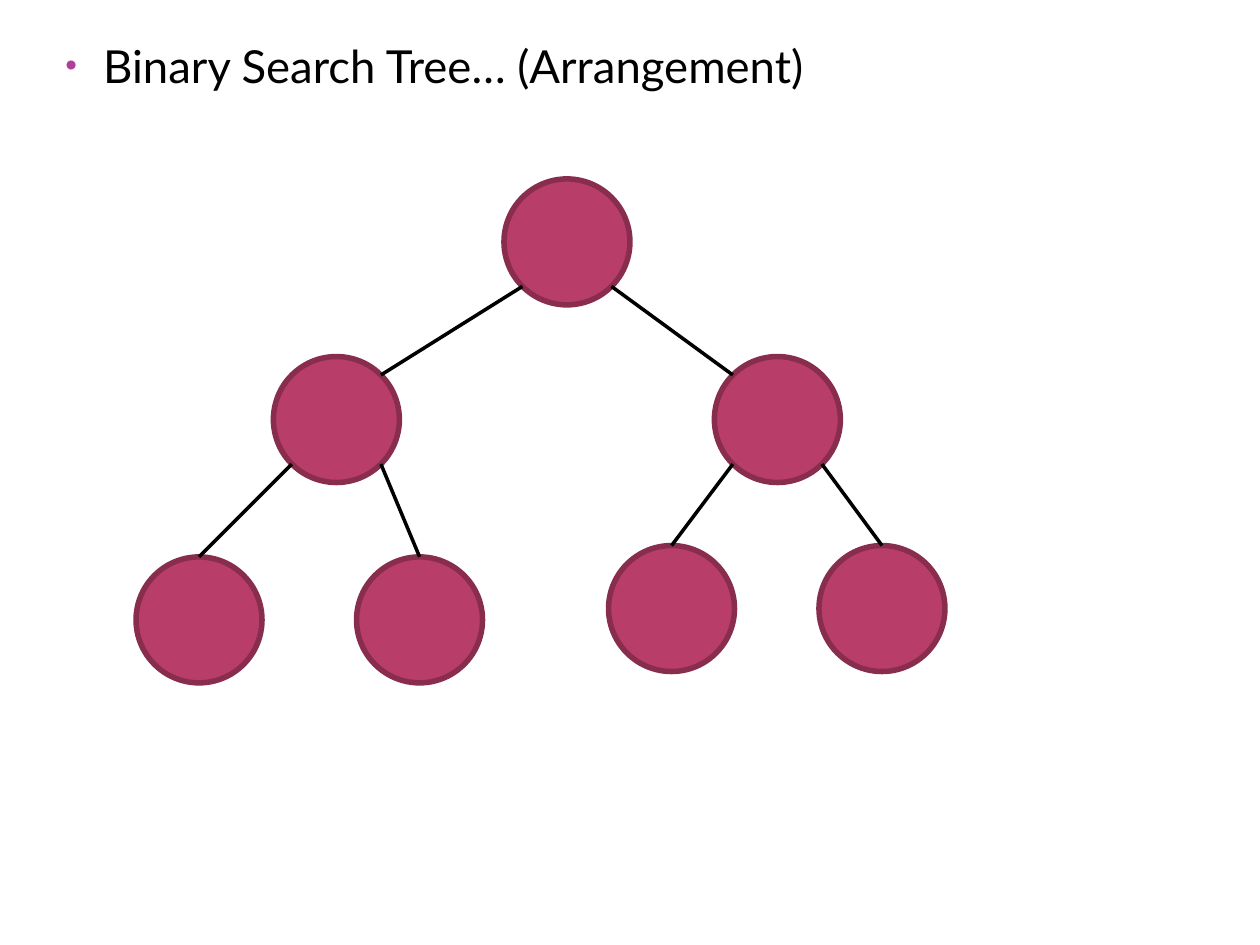
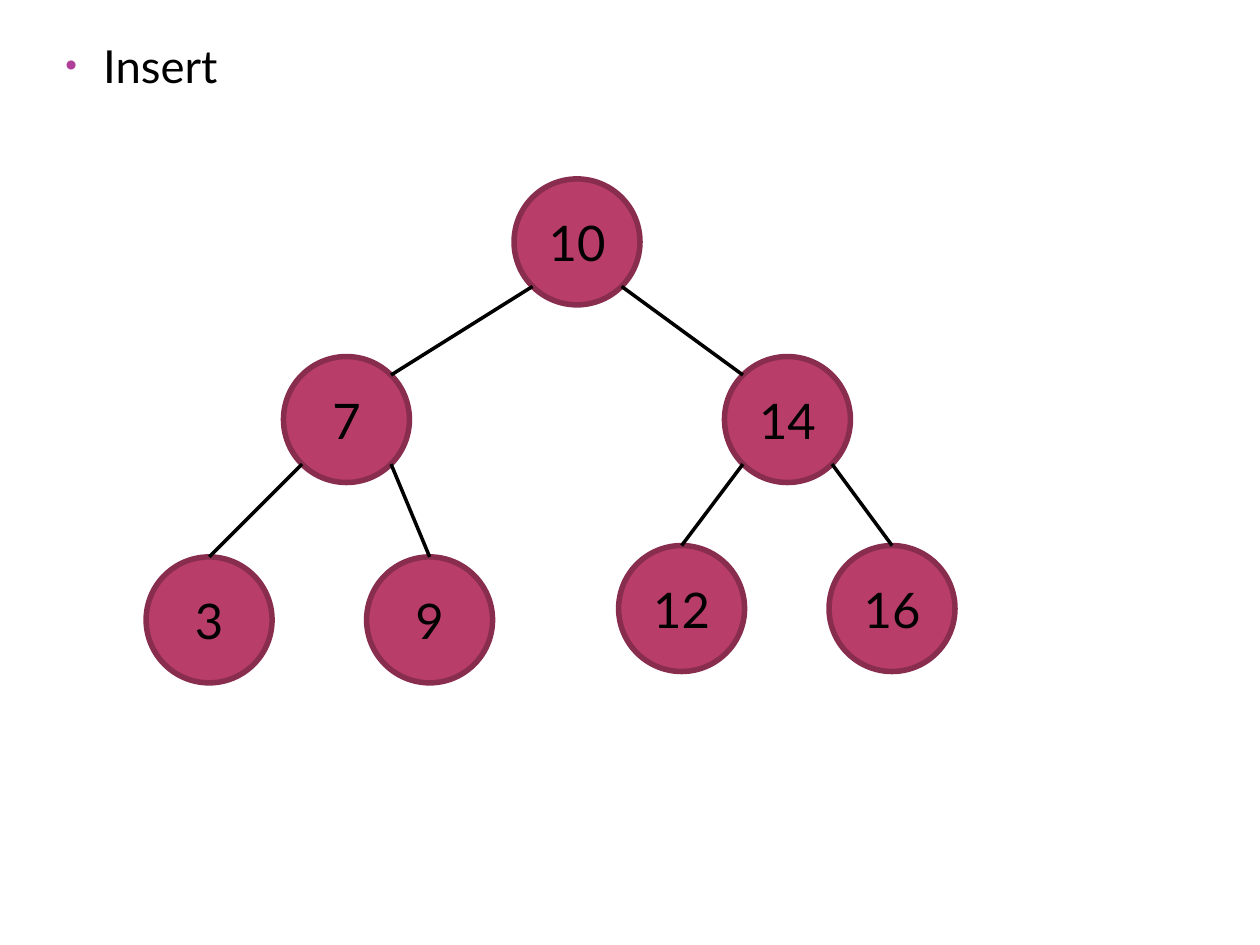
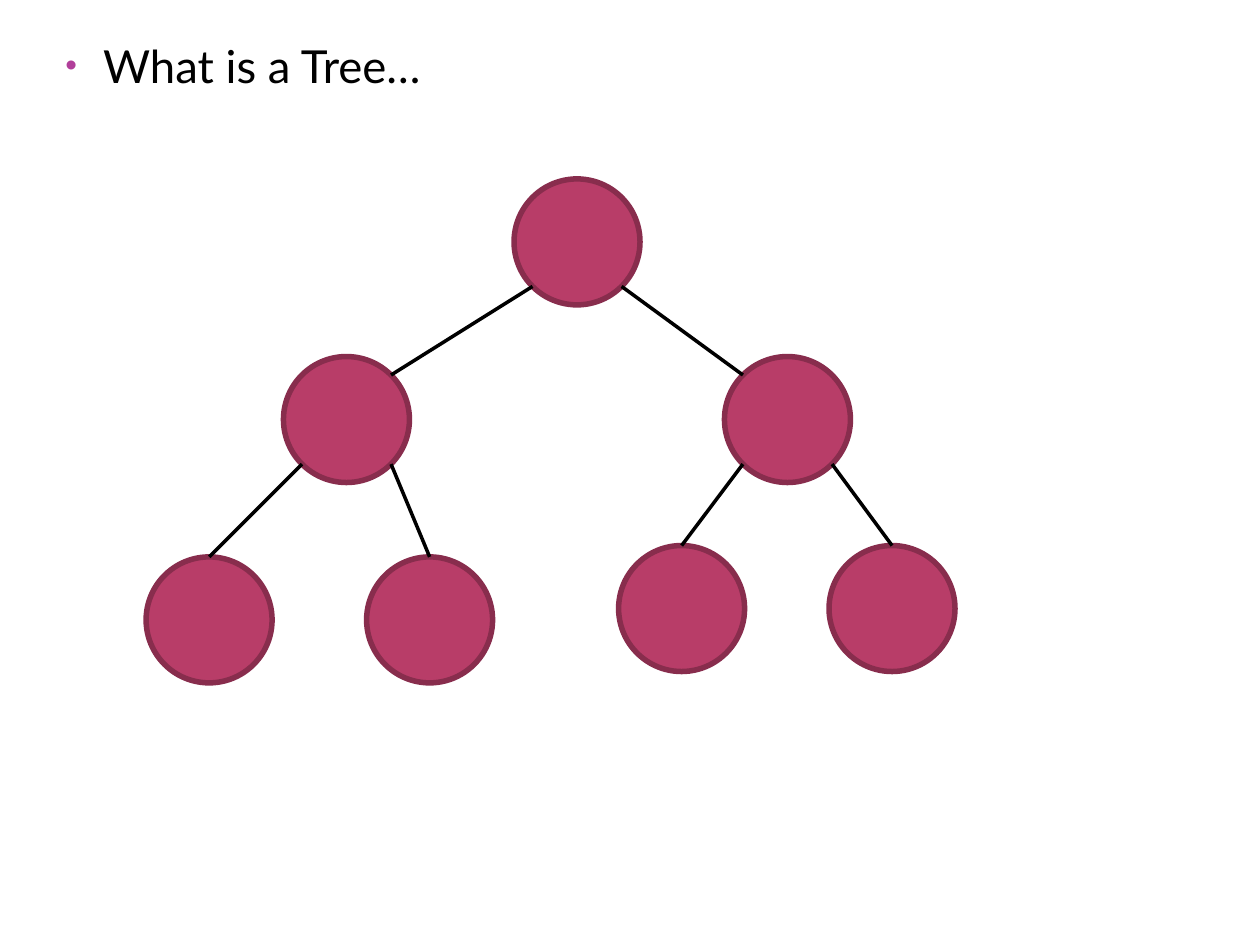
from math import sqrt
from lxml.etree import SubElement as Sub
from pptx import Presentation
from pptx.dml.color import RGBColor as Rgb
from pptx.enum.shapes import MSO_CONNECTOR as Link, MSO_SHAPE as Kind
from pptx.enum.text import MSO_ANCHOR as Anchor, PP_ALIGN as Align
from pptx.oxml.ns import qn
from pptx.util import Inches, Pt

COLORS = {"text": "000000", "node": "B83D68", "rim": "882D4D", "dot": "B13F9A"}
FONT = "Lato"
SIZE = 1
REACH = SIZE / 2 / sqrt(2)

SLIDES = [
    ("Binary Search Tree… (Arrangement)", 4, []),
    ("Insert", 4.08, ["10", "7", "14", "3", "9", "12", "16"]),
    ("What is a Tree…", 4.08, []),
]
TREE = [
    (0, 1.42),
    (-1.83, 2.83), (1.67, 2.83),
    (-2.92, 4.42), (-1.17, 4.42), (0.83, 4.33), (2.5, 4.33),
]


def color(name):
    return Rgb.from_string(COLORS[name])


def style(para, size):
    para.font.name = FONT
    para.font.size = Pt(size)
    para.font.color.rgb = color("text")


def add_title(slide, text):
    box = slide.shapes.add_textbox(Inches(0.42), Inches(0.25), Inches(8), Inches(6.81))
    box.text_frame.word_wrap = True
    para = box.text_frame.paragraphs[0]
    para.text = text
    para.space_before = Pt(6)
    style(para, 26)
    props = para._p.get_or_add_pPr()
    props.set("marL", str(Inches(0.3)))
    props.set("indent", str(-Inches(0.3)))
    tint = Sub(props, qn("a:buClr"))
    Sub(tint, qn("a:srgbClr"), val=COLORS["dot"])
    Sub(props, qn("a:buSzPct"), val="73000")
    Sub(props, qn("a:buFont"), typeface="Arial")
    Sub(props, qn("a:buChar"), char="•")


def add_node(group, x, y, label):
    node = group.shapes.add_shape(
        Kind.OVAL, Inches(x), Inches(y), Inches(SIZE), Inches(SIZE))
    node.shadow.inherit = False
    node.fill.solid()
    node.fill.fore_color.rgb = color("node")
    node.line.color.rgb = color("rim")
    node.line.width = Pt(3.15)
    if label:
        frame = node.text_frame
        frame.vertical_anchor = Anchor.MIDDLE
        para = frame.paragraphs[0]
        para.text = label
        para.alignment = Align.CENTER
        style(para, 28)


def add_edge(group, start, end):
    points = [Inches(v) for v in (*start, *end)]
    edge = group.shapes.add_connector(Link.STRAIGHT, *points)
    edge.line.color.rgb = color("text")
    edge.line.width = Pt(2)
    Sub(edge._element.spPr, qn("a:effectLst"))


def add_tree(slide, root, labels):
    group = slide.shapes.add_group_shape()
    spots = [(root + dx, y) for dx, y in TREE]
    for i, (x, y) in enumerate(spots):
        add_node(group, x, y, labels[i] if labels else "")
    mids = [(x + SIZE / 2, y + SIZE / 2) for x, y in spots]
    for i, (x, y) in enumerate(mids[1:], 1):
        px, py = mids[(i - 1) // 2]
        side = -1 if i % 2 else 1
        start = (px + side * REACH, py + REACH)
        if i < 3:
            end = (x - side * REACH, y - REACH)
        else:
            end = (x, y - SIZE / 2)
        add_edge(group, start, end)


deck = Presentation()
deck.slide_width, deck.slide_height = Inches(10), Inches(7.5)
for title, root, labels in SLIDES:
    slide = deck.slides.add_slide(deck.slide_layouts[6])
    add_title(slide, title)
    add_tree(slide, root, labels)
deck.save("out.pptx")
